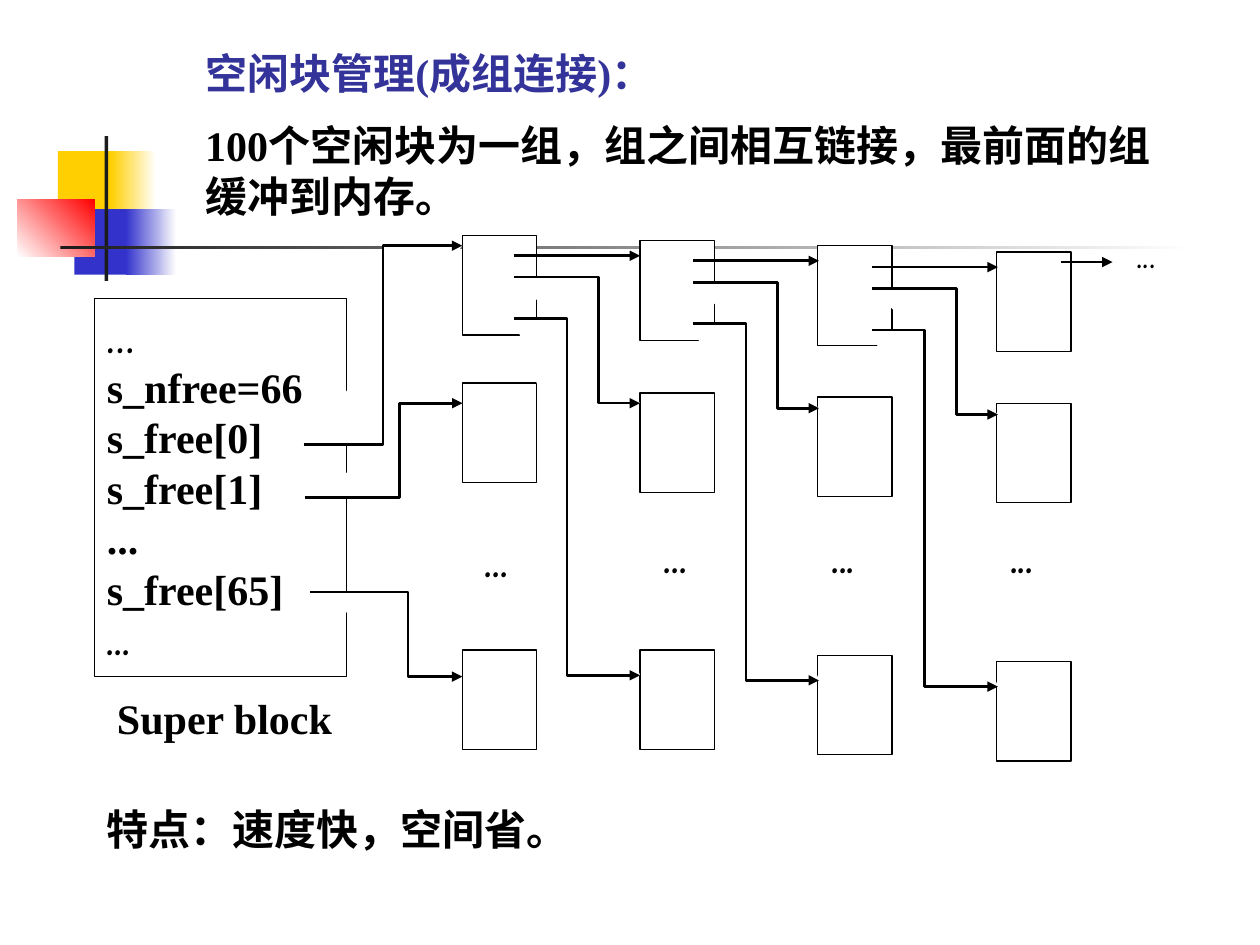
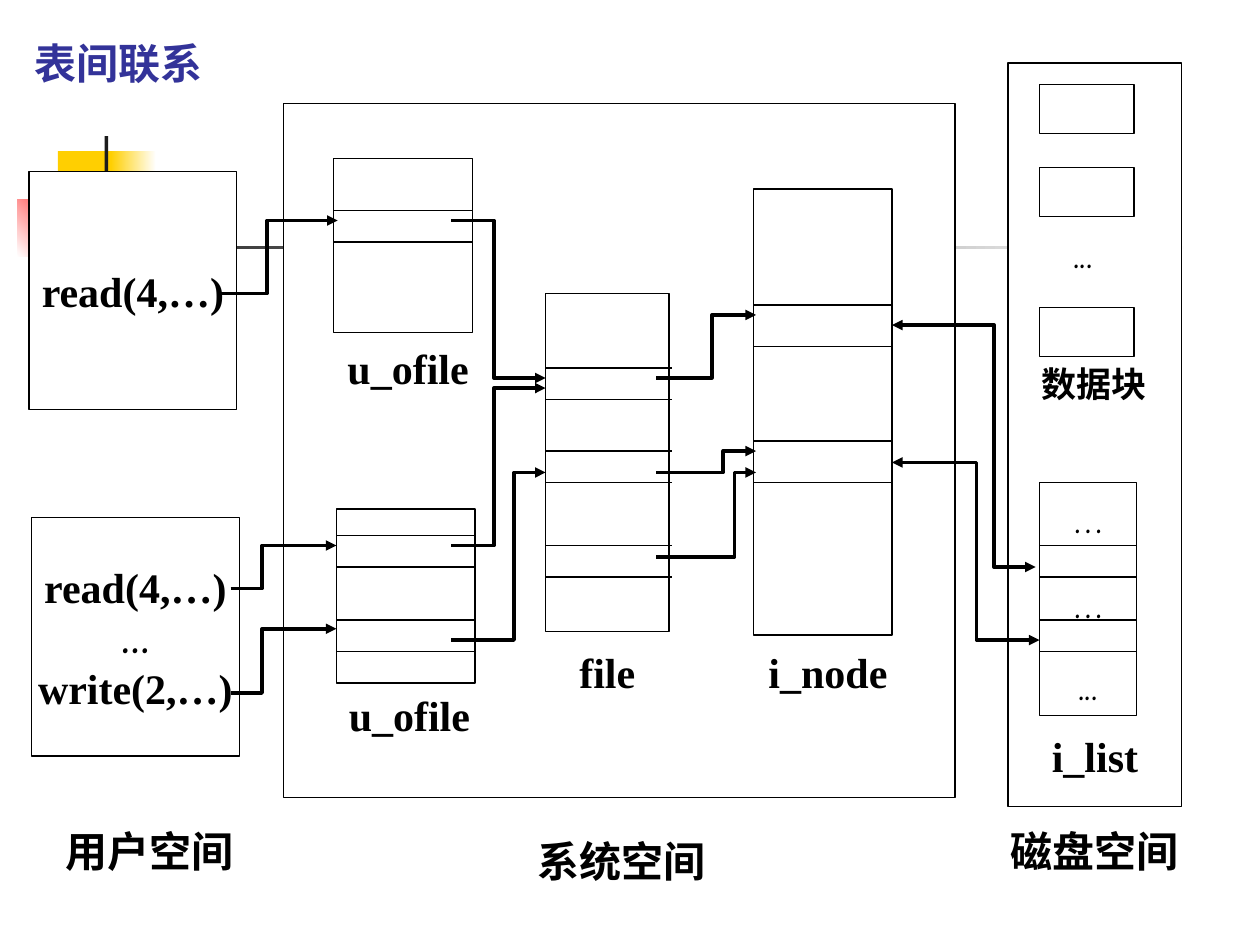
from lxml import etree
from pptx import Presentation
from pptx import util as u
from pptx.dml import color
from pptx.enum import shapes, text
from pptx.oxml import ns

PX = 9144  # EMU in one px, 100 px to the inch
BLACK, WHITE, DARK = "000000", "FFFFFF", "1C1C1C"
YELLOW, BLUE, RED, TITLE_BLUE = "FFCF01", "3333CC", "FF0000", "333399"
SERIF, COMIC = "Times New Roman", "Comic Neue"
RECT = shapes.MSO_SHAPE.RECTANGLE
TOP, MIDDLE = text.MSO_ANCHOR.TOP, text.MSO_ANCHOR.MIDDLE
LEFT, CENTER = text.PP_ALIGN.LEFT, text.PP_ALIGN.CENTER
DOTS = ("...", COMIC)
ELLIPSIS = ("…", COMIC)


def rgb(code):
    return color.RGBColor.from_string(code)


def lengths(*values):
    return [value * PX for value in values]


def apply(target, formats):
    for name, value in formats.items():
        setattr(target, name, value)


# Text

def write(frame, lines, ink=BLACK, size=24, bold=True, align=LEFT, gaps=(), **frame_formats):
    """Each line is a string, or a pair of string and typeface."""
    apply(frame, {"word_wrap": True, "vertical_anchor": TOP, **frame_formats})
    for index, line in enumerate(lines):
        words, face = (line, SERIF) if isinstance(line, str) else line
        para = frame.paragraphs[0] if index == 0 else frame.add_paragraph()
        apply(para, {"alignment": align, "space_before": u.Pt(gaps[index] if gaps else 0)})
        span = para.add_run()
        span.text = words
        apply(span.font, {"name": face, "size": u.Pt(size), "bold": bold})
        span.font.color.rgb = rgb(ink)


def label(slide, place, line, fill=None, **formats):
    box = slide.shapes.add_textbox(*lengths(*place))
    if fill:
        box.fill.solid()
        box.fill.fore_color.rgb = rgb(fill)
    write(box.text_frame, [line], auto_size=text.MSO_AUTO_SIZE.SHAPE_TO_FIT_TEXT, **formats)


def set_title(slide, place, words):
    title = slide.shapes.title
    apply(title, dict(zip(("left", "top", "width", "height"), lengths(*place))))
    write(title.text_frame, [words], ink=TITLE_BLUE, auto_size=text.MSO_AUTO_SIZE.NONE)


# Shapes and lines

def block(slide, place, fill=WHITE, line=BLACK):
    shape = slide.shapes.add_shape(RECT, *lengths(*place))
    shape.shadow.inherit = False
    shape.fill.solid()
    shape.fill.fore_color.rgb = rgb(fill)
    if line:
        stroke(shape, 0.75)
    else:
        shape.line.fill.background()
    return shape


def stroke(shape, width, ends=()):
    shape.line.color.rgb = rgb(BLACK)
    shape.line.width = u.Pt(width)
    outline = shape.element.spPr.find(ns.qn("a:ln"))
    for end in ends:
        etree.SubElement(outline, ns.qn(f"a:{end}"), type="triangle")


def straight(slide, start, end, width=0.75, ends=()):
    line = slide.shapes.add_connector(shapes.MSO_CONNECTOR.STRAIGHT, *lengths(*start, *end))
    stroke(line, width, ends)
    etree.SubElement(line.element.spPr, ns.qn("a:effectLst"))


def elbow(slide, start, bend, end, width=2.0, fill=None, ends=("tailEnd",)):
    """Arrow that turns twice, at the x given by bend."""
    builder = slide.shapes.build_freeform(*start, scale=PX)
    builder.add_line_segments([(bend, start[1]), (bend, end[1]), end], close=False)
    arrow = builder.convert_to_shape()
    arrow.shadow.inherit = False
    if fill:
        arrow.fill.solid()
        arrow.fill.fore_color.rgb = rgb(fill)
    else:
        arrow.fill.background()
    stroke(arrow, width, ends)


def record(slide, place, dividers, overhang=0):
    """Box cut into fields by horizontal lines."""
    box = block(slide, place)
    left, right = place[0], place[0] + place[2] + overhang
    for y in dividers:
        straight(slide, (left, y), (right, y))
    return box


# Shared decoration, kept on the layout

def decorate(layout, slide):
    parts = [
        ((46, 120, 48, 52), YELLOW, None, 0),
        ((88, 120, 36, 52), YELLOW, WHITE, 0),
        ((59, 166, 46, 52), BLUE, None, 0),
        ((100, 166, 40, 52), BLUE, WHITE, 0),
        ((14, 158, 61, 46), WHITE, RED, 45),
        ((83, 108, 3, 115), DARK, None, 0),
        ((48, 195, 900, 3), DARK, WHITE, 0),
    ]
    for number, (place, first, last, angle) in enumerate(parts, 101):
        shape = block(slide, place, first, line=None)
        if last:
            shape.fill.gradient()
            shape.fill.gradient_angle = angle
            for stop, code in zip(shape.fill.gradient_stops, (first, last)):
                stop.color.rgb = rgb(code)
        shape.element.nvSpPr.cNvPr.id = number
        layout.shapes.element.append(shape.element)


# Slide 1: free blocks linked in groups

def free_blocks(slide):
    set_title(slide, (153, 33, 780, 50), "空闲块管理(成组连接)：")
    label(slide, (153, 90, 780, 92), "100个空闲块为一组，组之间相互链接，最前面的组缓冲到内存。")

    super_block = block(slide, (75, 237, 200, 300))
    write(super_block.text_frame,
          [ELLIPSIS, "s_nfree=66", "s_free[0]", "s_free[1]", "...", "s_free[65]", DOTS],
          vertical_anchor=MIDDLE)
    label(slide, (83, 545, 192, 50), "Super block", fill=WHITE)

    groups = [
        (367, (187, 304, 516)),
        (508, (191, 312, 516)),
        (649, (195, 315, 520)),
        (791, (200, 320, 525)),
    ]
    link = {"width": 1.5, "fill": WHITE}
    links = [None, (408, 203), (550, 207), (692, 212)]
    for (left, tops), source in zip(groups, links):
        for top in tops:
            block(slide, (left, top, 59, 79))
        if source is None:  # the first group hangs on the super block
            elbow(slide, (241, 353), 304, (367, 195), **link)
            elbow(slide, (242, 395), 317, (367, 320), **link)
            elbow(slide, (246, 470), 324, (367, 537), **link)
            continue
        x, y = source
        straight(slide, (x, y), (x + 100, y), 1.5, ["tailEnd"])
        elbow(slide, (x, y + 17), x + 67, (x + 100, y + 117), **link)
        elbow(slide, (x, y + 50), x + 42, (x + 100, y + 333), **link)

    straight(slide, (842, 208), (883, 208), 1.5, ["tailEnd"])
    label(slide, (892, 175, 58, 50), DOTS, bold=False)
    for left, top in ((375, 420), (517, 417), (650, 417), (792, 417)):
        label(slide, (left, top, 58, 50), DOTS, fill=WHITE)
    label(slide, (75, 633, 783, 50), "特点：速度快，空间省。", fill=WHITE)


# Slide 2: links between the tables

def table_links(slide):
    set_title(slide, (17, 25, 192, 50), "表间联系")

    # Spaces
    block(slide, (225, 82, 533, 551))
    block(slide, (800, 50, 138, 590))
    processes = [
        ((23, 136, 165, 189), ["read(4,…)"]),
        ((25, 411, 165, 189), ["read(4,…)", ELLIPSIS, "write(2,…)"]),
    ]
    for place, calls in processes:
        write(block(slide, place).text_frame, calls, align=CENTER,
              word_wrap=False, vertical_anchor=MIDDLE)

    # Tables and data blocks
    record(slide, (265, 126, 110, 138), (167, 192))
    record(slide, (267, 404, 110, 138), (425, 450, 492, 517))
    record(slide, (433, 233, 98, 268), (292, 317, 358, 383, 433, 458), overhang=2)
    record(slide, (598, 150, 110, 354), (242, 275, 350, 383))
    for top in (67, 133, 244):
        block(slide, (825, top, 75, 39))
    i_list = record(slide, (825, 383, 77, 185), (433, 458, 492, 517))
    write(i_list.text_frame, [ELLIPSIS, ELLIPSIS, DOTS], bold=False, align=CENTER,
          gaps=(0, 20, 18), margin_top=7 * PX)

    # Names
    names = [
        ((42, 650, 167, 50), "用户空间"),
        ((417, 658, 175, 50), "系统空间"),
        ((792, 650, 158, 50), "磁盘空间"),
        ((266, 267, 126, 50), "u_ofile"),
        ((267, 542, 117, 50), "u_ofile"),
        ((450, 508, 83, 50), "file"),
        ((600, 508, 125, 50), "i_node"),
        ((825, 575, 100, 50), "i_list"),
    ]
    for place, name in names:
        label(slide, place, name)
    label(slide, (817, 283, 125, 43), "数据块", size=20)
    label(slide, (842, 175, 50, 50), DOTS, bold=False)

    # Arrows: start, bend, end
    arrows = [
        ((175, 233), 212, (268, 175)),
        ((183, 467), 208, (267, 433)),
        ((183, 550), 208, (267, 499)),
        ((358, 175), 392, (433, 300)),
        ((358, 433), 392, (433, 308)),
        ((358, 508), 408, (433, 375)),
        ((521, 300), 565, (600, 250)),
        ((521, 375), 574, (600, 358)),
        ((521, 442), 583, (600, 375)),
    ]
    for arrow in arrows:
        elbow(slide, *arrow)
    for arrow in (((708, 258), 789, (822, 450)), ((708, 367), 775, (825, 508))):
        elbow(slide, *arrow, ends=("headEnd", "tailEnd"))


def main():
    deck = Presentation()
    deck.slide_width, deck.slide_height = lengths(1000, 750)
    layout = deck.slide_layouts[5]  # title only
    pages = [deck.slides.add_slide(layout) for _ in range(2)]
    decorate(layout, pages[0])
    free_blocks(pages[0])
    table_links(pages[1])
    deck.save("out.pptx")


if __name__ == "__main__":
    main()
